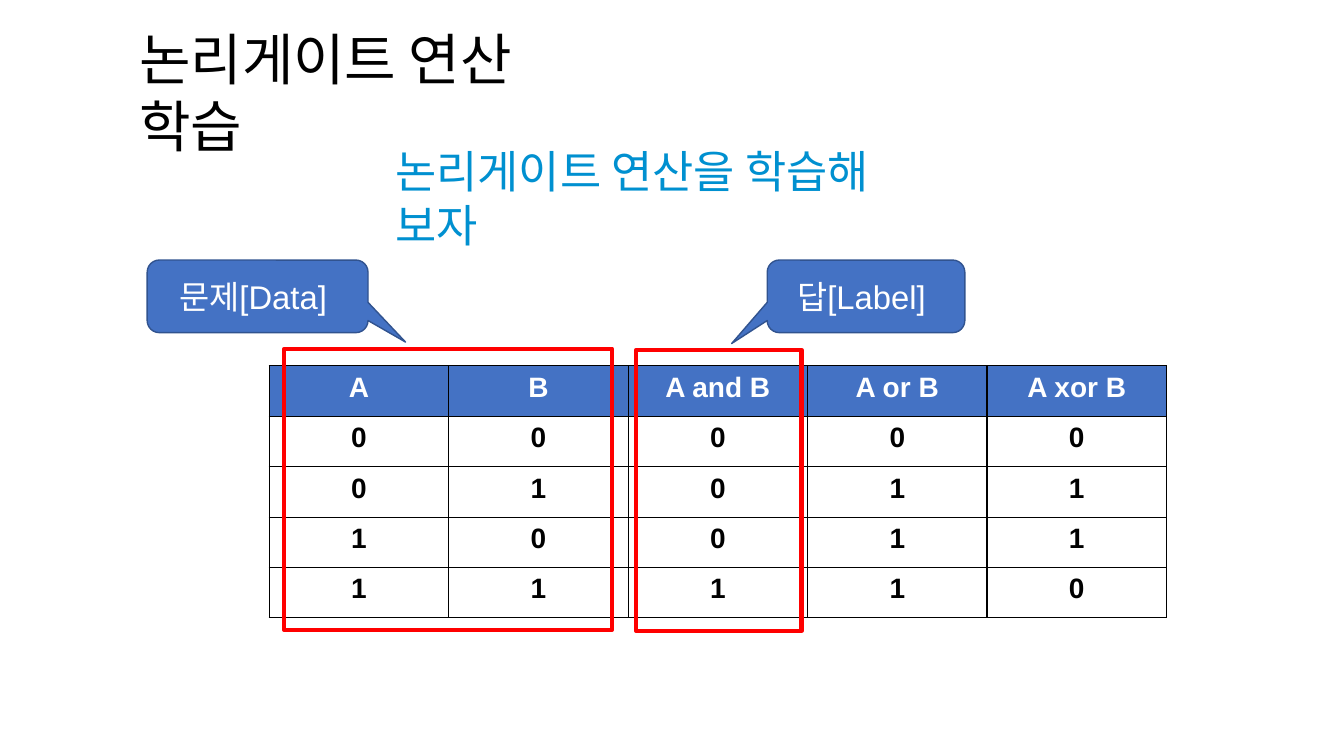
from pptx import Presentation
from pptx.dml.color import RGBColor
from pptx.enum.shapes import MSO_SHAPE
from pptx.enum.text import MSO_ANCHOR, PP_ALIGN
from pptx.oxml import parse_xml
from pptx.oxml.ns import nsdecls
from pptx.util import Inches, Pt

LEFT, CENTER = PP_ALIGN.LEFT, PP_ALIGN.CENTER
TOP, MIDDLE = MSO_ANCHOR.TOP, MSO_ANCHOR.MIDDLE
RECT, CALLOUT = MSO_SHAPE.RECTANGLE, MSO_SHAPE.ROUNDED_RECTANGULAR_CALLOUT
BLUE, WHITE, BLACK = "4472C4", "FFFFFF", "000000"


def color(code):
    return RGBColor.from_string(code)


def write(frame, text, size, ink, bold=False, align=LEFT, anchor=TOP, pad=(0.1, 0.05)):
    frame.word_wrap = True
    frame.vertical_anchor = anchor
    frame.margin_left = frame.margin_right = Inches(pad[0])
    frame.margin_top = frame.margin_bottom = Inches(pad[1])
    para = frame.paragraphs[0]
    para.alignment = align
    run = para.add_run()
    run.text = text
    font = run.font
    font.name, font.size, font.bold = "Arial", Pt(size), bold
    font.color.rgb = color(ink)


deck = Presentation()
deck.slide_width, deck.slide_height = Inches(13.33), Inches(7.5)
slide = deck.slides.add_slide(deck.slide_layouts[5])
shapes = slide.shapes

# Title and subtitle
title = shapes.title
title.left, title.top = Inches(1.28), Inches(0.19)
title.width, title.height = Inches(4.8), Inches(0.77)
write(title.text_frame, "논리게이트 연산 학습", 40, BLACK)
lead = shapes.add_textbox(Inches(3.79), Inches(1.37), Inches(5.75), Inches(0.67))
write(lead.text_frame, "논리게이트 연산을 학습해 보자", 32, "0090D0", pad=(0.13, 0.06))

# Truth table, worked out from the two inputs
rows = [["A", "B", "A and B", "A or B", "A xor B"]]
for a in (0, 1):
    for b in (0, 1):
        rows.append([a, b, a & b, a | b, a ^ b])
COL, ROW = 1.78, 0.5
grid = shapes.add_table(len(rows), len(rows[0]), Inches(2.67), Inches(3.63),
                        Inches(COL * len(rows[0])), Inches(ROW * len(rows))).table
for col in grid.columns:
    col.width = Inches(COL)
for r, row in enumerate(rows):
    grid.rows[r].height = Inches(ROW)
    for c, value in enumerate(row):
        cell = grid.cell(r, c)
        write(cell.text_frame, str(value), 20, BLACK if r else WHITE, bold=True, align=CENTER)
        cell.margin_left = cell.margin_right = Inches(0.12)
        cell.margin_top = cell.margin_bottom = Inches(0.06)
        props = cell._tc.get_or_add_tcPr()
        for side in "LRTB":
            props.append(parse_xml(
                f'<a:ln{side} {nsdecls("a")} w="12700"><a:solidFill>'
                f'<a:srgbClr val="{BLACK}"/></a:solidFill></a:ln{side}>'))
        cell.fill.solid()
        cell.fill.fore_color.rgb = color(WHITE if r else BLUE)

# Red frames around the data and label columns
for x, y, wide in ((2.82, 3.46, 3.25), (6.31, 3.47, 1.64)):
    frame = shapes.add_shape(RECT, Inches(x), Inches(y), Inches(wide), Inches(2.79))
    frame.shadow.inherit = False
    frame.fill.background()
    frame.line.color.rgb = color("FF0000")
    frame.line.width = Pt(3)

# Callouts that name the frames
for x, wide, text, tip in ((1.46, 2.19, "문제[Data] ", (0.67, 0.63)),
                           (7.61, 1.96, "답[Label] ", (-0.68, 0.65))):
    note = shapes.add_shape(CALLOUT, Inches(x), Inches(2.58), Inches(wide), Inches(0.72))
    note.adjustments[0], note.adjustments[1] = tip
    note.shadow.inherit = False
    note.fill.solid()
    note.fill.fore_color.rgb = color(BLUE)
    note.line.color.rgb = color("31538F")
    note.line.width = Pt(1)
    write(note.text_frame, text, 23.4, WHITE, align=CENTER, anchor=MIDDLE)

deck.save("out.pptx")
